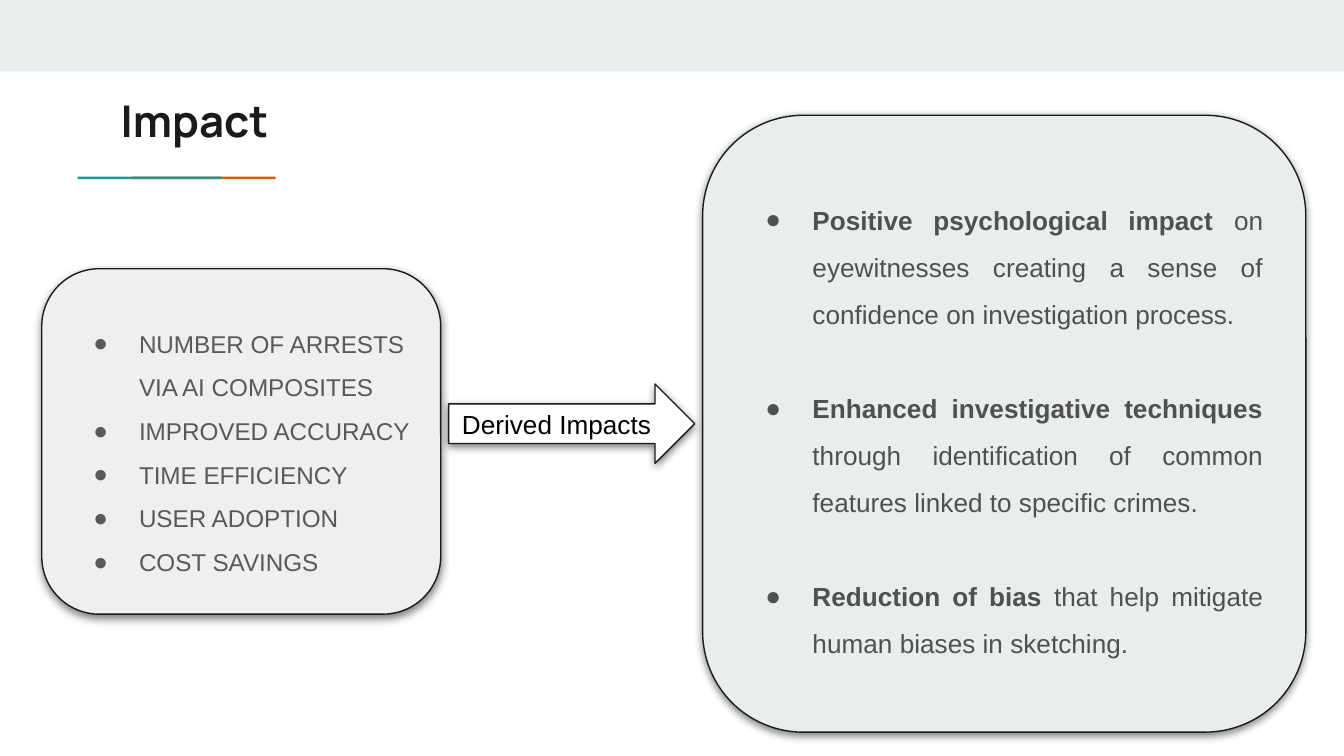
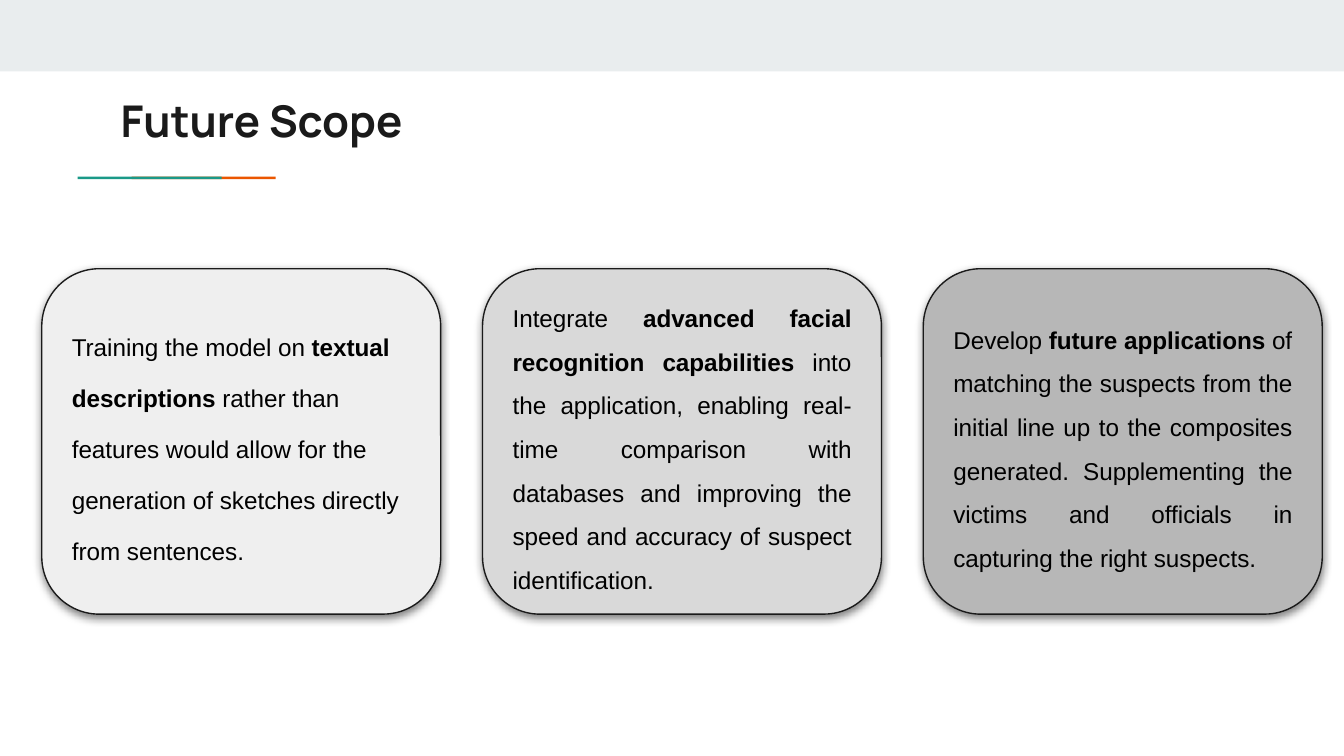
from dataclasses import dataclass

from pptx import Presentation
from pptx.dml.color import RGBColor as Rgb
from pptx.enum.shapes import MSO_SHAPE as Kind
from pptx.enum.text import MSO_ANCHOR as Anchor, PP_ALIGN as Align
from pptx.oxml.xmlchemy import OxmlElement as Node
from pptx.util import Cm, Pt


@dataclass(frozen=True)
class Theme:
    band: str = "E9EDEE"
    teal: str = "1A9988"
    orange: str = "EB5600"
    ink: str = "1A1A1A"
    black: str = "000000"
    white: str = "FFFFFF"
    gray: str = "595959"
    dark: str = "505050"
    tints: tuple = ("EFEFEF", "D9D9D9", "B7B7B7")
    head: str = "Manrope"
    body: str = "Arial"
    title: float = 23.4
    large: float = 14
    small: float = 13


T = Theme()
WIDTH = 25.4
PAD = 0.25
# Card row: left, top, width, height, and the step between cards
LEFT, TOP, WIDE, HIGH, STEP = 0.79, 5.08, 7.54, 6.53, 8.33

GOALS = [
    "NUMBER OF ARRESTS VIA AI COMPOSITES",
    "IMPROVED ACCURACY",
    "TIME EFFICIENCY",
    "USER ADOPTION",
    "COST SAVINGS",
]
# Asterisks enclose bold words
GAINS = [
    "*Positive psychological impact* on eyewitnesses creating a sense of "
    "confidence on investigation process.",
    "*Enhanced investigative techniques* through identification of common "
    "features linked to specific crimes.",
    "*Reduction of bias* that help mitigate human biases in sketching.",
]
PLANS = [
    "Training the model on *textual descriptions* rather than features would "
    "allow for the generation of sketches directly from sentences.",
    "Integrate *advanced facial recognition capabilities* into the "
    "application, enabling real-time comparison with databases and improving "
    "the speed and accuracy of suspect identification.",
    "Develop *future applications *of matching the suspects from the initial "
    "line up to the composites generated. Supplementing the victims and "
    "officials in capturing the right suspects.",
]


def style(font, size, color, name=T.body, bold=False):
    font.size, font.name, font.bold = Pt(size), name, bold
    font.color.rgb = Rgb.from_string(color)


def bar(slide, x, y, w, h, color):
    """Plain filled strip."""
    box = slide.shapes.add_shape(Kind.RECTANGLE, Cm(x), Cm(y), Cm(w), Cm(h))
    box.fill.solid()
    box.fill.fore_color.rgb = Rgb.from_string(color)
    box.line.fill.background()
    box.shadow.inherit = False


def shade(box):
    """Soft shadow below the shape."""
    box.shadow.inherit = False
    drop = Node("a:outerShdw")
    for key, val in (("blurRad", Pt(4.5)), ("dist", Pt(1.5)),
                     ("dir", 5400000), ("algn", "bl"), ("rotWithShape", 0)):
        drop.set(key, str(int(val)) if key != "algn" else val)
    color, alpha = Node("a:srgbClr"), Node("a:alpha")
    color.set("val", T.black)
    alpha.set("val", "50000")
    color.append(alpha)
    drop.append(color)
    box.element.spPr.find(".//{*}effectLst").append(drop)


def inset(frame, top=PAD, bottom=PAD):
    frame.word_wrap = True
    frame.margin_left = frame.margin_right = Cm(PAD)
    frame.margin_top, frame.margin_bottom = Cm(top), Cm(bottom)


def panel(slide, kind, x, y, w, h, fill, top=PAD, bottom=PAD):
    """Outlined shape with a shadow; gives back its text frame."""
    box = slide.shapes.add_shape(kind, Cm(x), Cm(y), Cm(w), Cm(h))
    box.fill.solid()
    box.fill.fore_color.rgb = Rgb.from_string(fill)
    box.line.color.rgb = Rgb.from_string(T.ink)
    box.line.width = Pt(0.75)
    shade(box)
    frame = box.text_frame
    inset(frame, top, bottom)
    frame.vertical_anchor = Anchor.MIDDLE
    return frame


def bullet(para, color, hang):
    props = para._p.get_or_add_pPr()
    props.set("marL", str(Cm(1.27)))
    props.set("indent", str(-Cm(hang)))
    tint, rgb, font, mark = map(
        Node, ("a:buClr", "a:srgbClr", "a:buFont", "a:buChar"))
    rgb.set("val", color)
    tint.append(rgb)
    font.set("typeface", T.body)
    mark.set("char", "●")
    for part in (tint, font, mark):
        props.append(part)


def write(frame, lines, size, color, align=Align.LEFT, pitch=1.5, gap=0,
          hang=None):
    """Fill a frame with paragraphs, bulleted when hang is given."""
    for i, line in enumerate(lines):
        para = frame.add_paragraph() if i else frame.paragraphs[0]
        if hang:
            bullet(para, color, hang)
        para.alignment, para.line_spacing = align, pitch
        if i and gap:
            para.space_before = Pt(gap)
        for j, text in enumerate(line.split("*")):
            if text:
                run = para.add_run()
                run.text = text
                style(run.font, size, color, bold=j % 2 == 1)


def page(deck, title):
    """Blank slide with the band, underline and title."""
    slide = deck.slides.add_slide(deck.slide_layouts[6])
    bar(slide, 0, 0, WIDTH, 1.35, T.band)
    bar(slide, 2.49, 3.34, 2.72, 0.05, T.orange)
    bar(slide, 1.47, 3.34, 2.72, 0.05, T.teal)
    box = slide.shapes.add_textbox(Cm(2.03), Cm(1.52), Cm(21.36), Cm(1.5))
    frame = box.text_frame
    inset(frame)
    frame.text = title
    style(frame.paragraphs[0].runs[0].font, T.title, T.ink, T.head, True)
    return slide


def card(slide, col, **pads):
    return panel(slide, Kind.ROUNDED_RECTANGLE, LEFT + col * STEP, TOP,
                 WIDE, HIGH, T.tints[col], **pads)


def impact(deck):
    slide = page(deck, "Impact")
    # Derived gains
    frame = panel(slide, Kind.ROUNDED_RECTANGLE, 13.28, 2.18, 11.4, 11.66,
                  T.band)
    write(frame, GAINS, T.large, T.dark, Align.JUSTIFY, gap=25.2, hang=0.89)
    # Direct goals
    write(card(slide, 0, top=0.4), GOALS, T.small, T.gray, hang=0.86)
    # Arrow between them
    frame = panel(slide, Kind.RIGHT_ARROW, 8.48, 7.26, 4.65, 1.5, T.white)
    write(frame, ["Derived Impacts"], T.large, T.black, pitch=1.0)


def future(deck):
    slide = page(deck, "Future Scope")
    for col, plan in enumerate(PLANS):
        first = col == 0
        frame = card(slide, col, bottom=0.4 if first else PAD)
        write(frame, [plan], T.small, T.black,
              Align.LEFT if first else Align.JUSTIFY,
              pitch=1.75 if first else 1.5)


def main():
    deck = Presentation()
    deck.slide_width, deck.slide_height = Cm(WIDTH), Cm(14.29)
    impact(deck)
    future(deck)
    deck.save("out.pptx")


if __name__ == "__main__":
    main()
